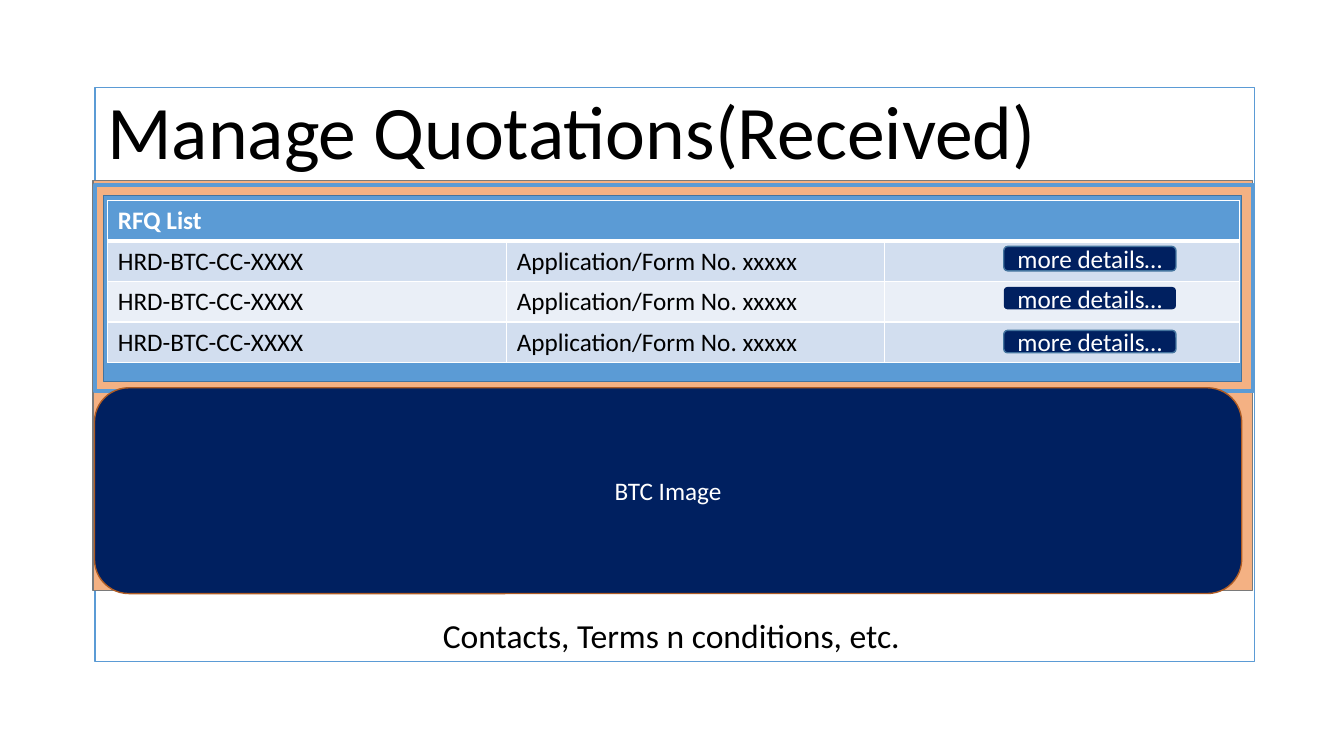
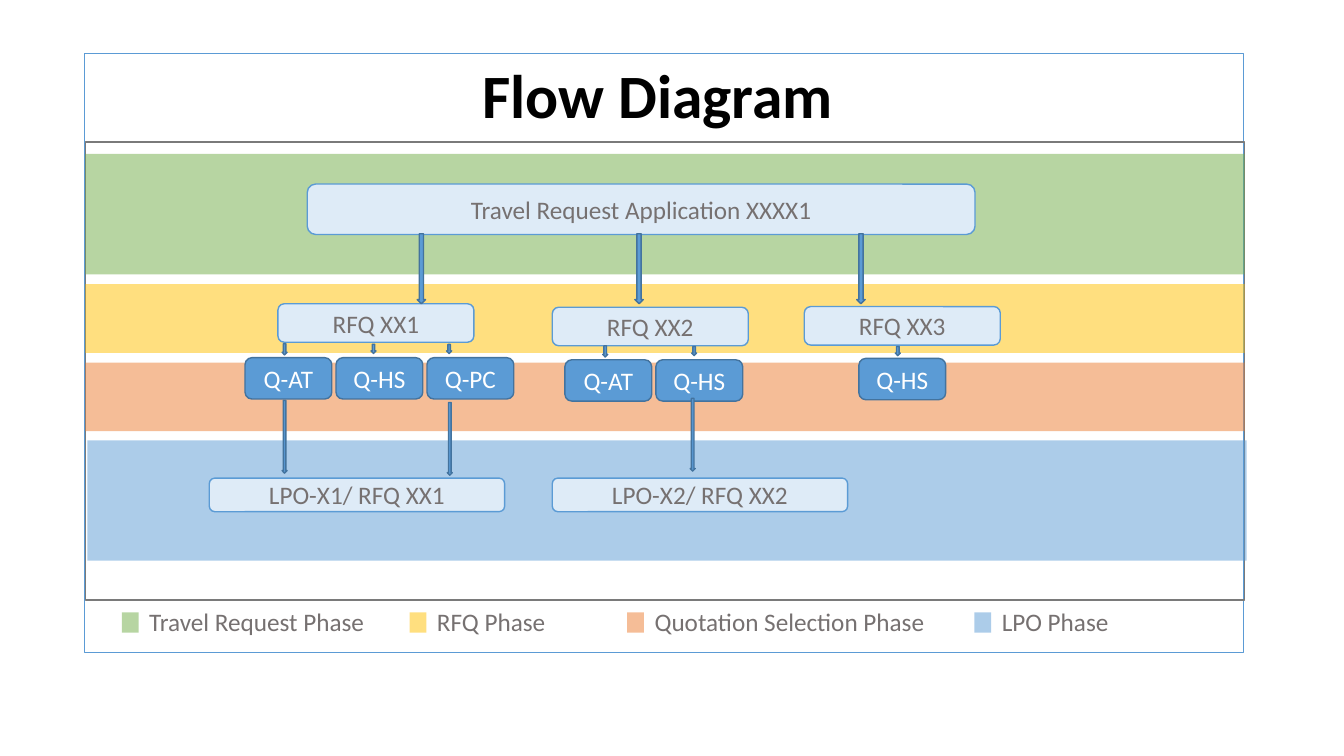
from dataclasses import dataclass
from lxml.etree import SubElement as Sub
from pptx import Presentation
from pptx.dml.color import RGBColor as RGB
from pptx.enum.shapes import MSO_SHAPE as Kind
from pptx.enum.text import MSO_ANCHOR as Anchor, MSO_AUTO_SIZE as Auto, PP_ALIGN as Align
from pptx.oxml.ns import qn
from pptx.util import Pt


@dataclass(frozen=True)
class Theme:
    face: str = "Calibri"
    white: str = "FFFFFF"
    black: str = "000000"
    grey: str = "767171"
    rule: str = "7A7A7A"
    blue: str = "5B9BD5"
    edge: str = "43739E"
    pale: str = "DEEBF7"
    navy: str = "002060"
    rust: str = "AF5C24"
    peach: str = "F4B183"
    green: str = "70AD47"
    gold: str = "FFC000"
    orange: str = "ED7D31"
    odd: str = "D2DEEF"
    even: str = "EAEFF7"
    huge: int = 54
    head: int = 44
    foot: int = 24
    body: int = 18


T = Theme()
WIDE = 828  # width of the frame on both slides


def write(frame, text, color, size=T.body, bold=False, align=None):
    frame.text = text
    para = frame.paragraphs[0]
    if align is not None:
        para.alignment = align
    form = {"name": T.face, "size": Pt(size), "bold": bold}
    for key, val in form.items():
        setattr(para.font, key, val)
    para.font.color.rgb = RGB.from_string(color)


def place(item, box):
    for key, val in zip(("left", "top", "width", "height"), box):
        setattr(item, key, Pt(val))


def shape(sld, kind, box, fill=None, line=None, width=1, alpha=None):
    item = sld.shapes.add_shape(kind, *map(Pt, box))
    item.shadow.inherit = False
    if fill:
        item.fill.solid()
        item.fill.fore_color.rgb = RGB.from_string(fill)
    else:
        item.fill.background()
    if alpha:
        tint = item.element.xpath("./p:spPr/a:solidFill/a:srgbClr")[0]
        Sub(tint, qn("a:alpha"), val=str(alpha * 1000))
    if line:
        item.line.color.rgb = RGB.from_string(line)
        item.line.width = Pt(width)
    else:
        item.line.fill.background()
    return item


def node(sld, box, text, fill, line, color=T.white):
    item = shape(sld, Kind.ROUNDED_RECTANGLE, box, fill, line)
    write(item.text_frame, text, color, align=Align.CENTER)


def label(sld, box, text, color, size=T.body, align=None):
    item = sld.shapes.add_textbox(*map(Pt, box))
    item.text_frame.word_wrap = True
    write(item.text_frame, text, color, size, align=align)


def begin(deck, box, text, spot, wrap=True, **style):
    """Add a slide with its white frame and, above that, its title."""
    sld = deck.slides.add_slide(deck.slide_layouts[5])
    shape(sld, Kind.RECTANGLE, box, T.white, T.blue)
    title = sld.shapes.title
    sld.shapes.element.append(title.element)
    place(title, (box[0] + spot[0], box[1] + spot[1], *spot[2:]))
    form = {"vertical_anchor": Anchor.TOP, "auto_size": Auto.NONE, "word_wrap": wrap}
    for key, val in form.items():
        setattr(title.text_frame, key, val)
    write(title.text_frame, text, T.black, **style)
    return sld


def border(cell, base):
    """Draw white cell edges, the bottom one base points wide."""
    prop = cell._tc.get_or_add_tcPr()
    for pos, (side, width) in enumerate(zip("LRTB", (1, 1, 1, base))):
        line = prop.makeelement(qn(f"a:ln{side}"), {"w": str(Pt(width))})
        fill = Sub(line, qn("a:solidFill"))
        Sub(fill, qn("a:srgbClr"), val=T.white)
        prop.insert(pos, line)


def grid(sld, x, y):
    cols, high = (285, 270, 253.5), 28.8
    rows = [("RFQ List", "", "")] + [("HRD-BTC-CC-XXXX", "Application/Form No. xxxxx", "")] * 3
    table = sld.shapes.add_table(
        len(rows), len(cols), Pt(x), Pt(y), Pt(sum(cols)), Pt(high * len(rows))
    ).table
    for col, width in zip(table.columns, cols):
        col.width = Pt(width)
    for r, row in enumerate(rows):
        table.rows[r].height = Pt(high)
        fill = T.blue if r == 0 else T.odd if r % 2 else T.even
        for c, text in enumerate(row):
            cell = table.cell(r, c)
            cell.fill.solid()
            cell.fill.fore_color.rgb = RGB.from_string(fill)
            write(cell.text_frame, text, T.black if r else T.white, bold=r == 0)
            border(cell, 1 if r else 3)
    table.cell(0, 0).merge(table.cell(0, len(cols) - 1))


def quotes(sld, x, y):
    """Place the list of requests with its buttons."""
    shape(sld, Kind.RECTANGLE, (x + 6, y + 7.5, 813, 133), T.blue, T.edge)
    shape(sld, Kind.RECTANGLE, (x, y, 827, 147.5), None, T.blue, 3)
    grid(sld, x + 9, y + 11.5)
    for top, high, line in ((44, 17.5, T.edge), (73, 16, None), (104, 16, T.edge)):
        node(sld, (x + 649, y + top, 123, high), "more details…", T.navy, line)


def manage(deck):
    x, y = 68, 62.5
    sld = begin(deck, (x, y, WIDE, 410), "Manage Quotations(Received)",
                (1.5, -6.5, 771, 73), size=T.huge, align=Align.LEFT)
    shape(sld, Kind.RECTANGLE, (x - 1.5, y + 66.5, WIDE, 293), T.peach, T.rule)
    label(sld, (x - 3, y + 373, 829, 36), "Contacts, Terms n conditions, etc.",
          T.black, T.foot, Align.CENTER)
    quotes(sld, x, y + 69.5)
    node(sld, (x - 0.5, y + 214.5, 819.5, 147), "BTC Image", T.navy, T.rust)


def bands(sld, x, y):
    shape(sld, Kind.RECTANGLE, (x, y, WIDE, 327), None, T.rule)
    for shift, top, high, fill in (
        (1.5, 213, 86, T.blue),
        (0, 157.5, 49, T.orange),
        (0, 101.5, 49, T.gold),
        (0, 8.5, 86, T.green),
    ):
        shape(sld, Kind.RECTANGLE, (x + shift, y + top, WIDE, high), fill, alpha=50)


def flow(sld, x, y):
    """Place the boxes and arrows from request down to order."""
    for left, top, wide, high, text in (
        (159, 93.5, 477, 36, "Travel Request Application XXXX1"),
        (138, 179, 140, 27.5, "RFQ XX1"),
        (334, 181.5, 140, 27.5, "RFQ XX2"),
        (514, 181, 140, 27.5, "RFQ XX3"),
        (89, 303.5, 211, 24, "LPO-X1/ RFQ XX1"),
        (334, 303.5, 211, 24, "LPO-X2/ RFQ XX2"),
    ):
        node(sld, (x + left, y + top, wide, high), text, T.pale, T.blue, T.grey)
    for left, top, names in (
        (114.5, 217.5, ("Q-AT", "Q-HS", "Q-PC")),
        (343, 219, ("Q-AT", "Q-HS")),
        (553, 218, ("Q-HS",)),
    ):
        for i, name in enumerate(names):
            node(sld, (x + left + 65 * i, y + top, 62, 29.5), name, T.blue, T.edge)
    for wide, high, spots in (
        (6, 50, ((237.5, 129), (393, 129), (551.5, 129))),
        (3.6, 8, ((141, 207.5), (370, 209))),
        (3.6, 6.5, ((204.5, 208), (258.5, 208), (433.5, 209.5), (579, 209.5))),
        (3.6, 52, ((141, 248), (259, 249.5), (432.5, 246.5))),
    ):
        for left, top in spots:
            shape(sld, Kind.DOWN_ARROW, (x + left, y + top, wide, high), T.blue, T.edge)


def legend(sld, x, y):
    for left, fill, text in (
        (26.5, T.green, "Travel Request Phase"),
        (232, T.gold, "RFQ Phase"),
        (387.5, T.orange, "Quotation Selection Phase"),
        (635.5, T.blue, "LPO Phase"),
    ):
        shape(sld, Kind.RECTANGLE, (x + left, y + 8, 12, 14.5), fill, alpha=50)
        label(sld, (x + left + 12.5, y, 215, 29), text, T.grey)


def chart(deck):
    """Build the flow diagram slide."""
    x, y = 60.5, 38
    sld = begin(deck, (x, y, WIDE, 428), "Flow Diagram", (275.5, -1, 268, 60.5),
                wrap=False, size=T.head, bold=True, align=Align.CENTER)
    bands(sld, x + 0.5, y + 63.5)
    flow(sld, x, y)
    legend(sld, x, y + 391.5)


def main():
    deck = Presentation()
    deck.slide_width, deck.slide_height = Pt(960), Pt(540)
    manage(deck)
    chart(deck)
    deck.save("out.pptx")


if __name__ == "__main__":
    main()
